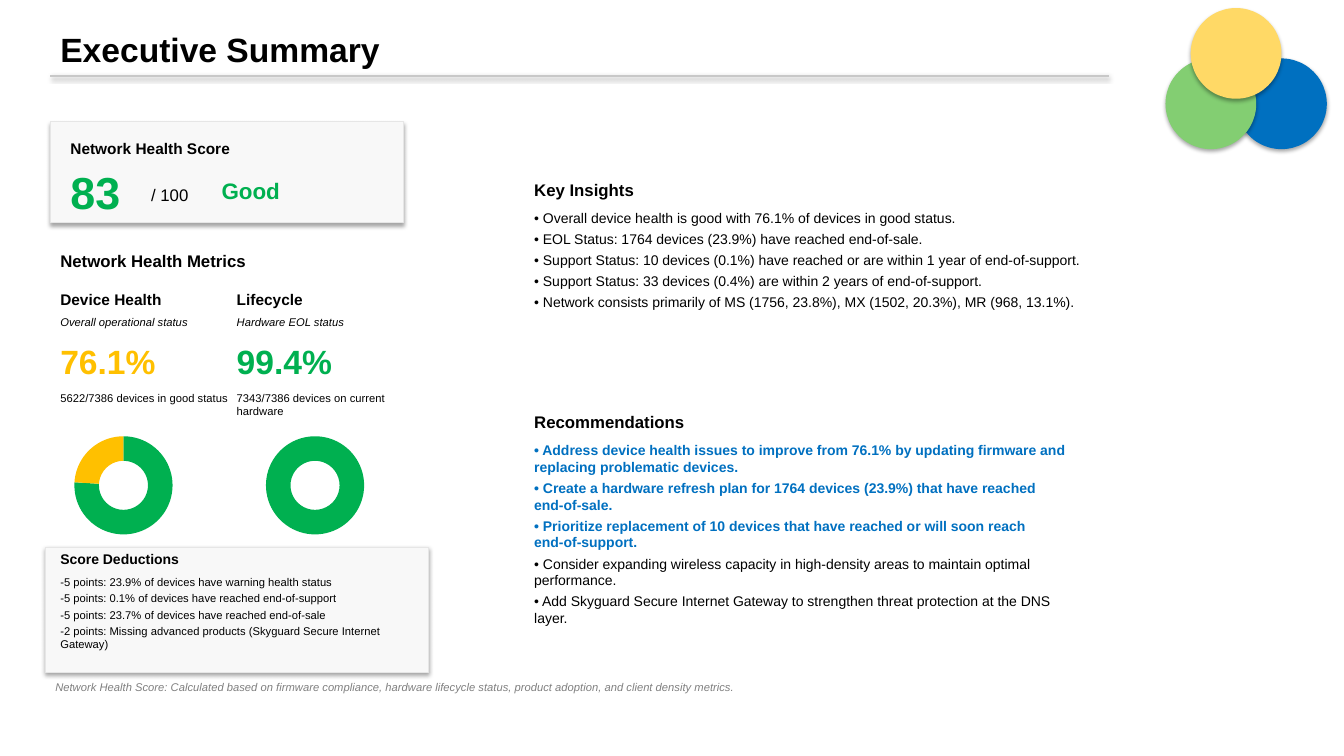
from copy import deepcopy
from lxml import etree
from pptx import Presentation
from pptx import util as u
from pptx.chart.data import CategoryChartData
from pptx.dml.color import RGBColor
from pptx.enum import chart as charts, shapes
from pptx.oxml.ns import qn

COLORS = {
    "black": "000000", "blue": "0070C0", "green": "00B050", "amber": "FFC000",
    "red": "FF0000", "gray": "808080", "panel": "F8F8F8", "border": "E6E6E6",
    "rule": "C8C8C8", "leaf": "83CE72", "sun": "FFD966",
}


def color(name):
    return RGBColor.from_string(COLORS[name])


def add_shadow(shape, distance=1.8, opacity=35):
    effects = etree.SubElement(shape._element.spPr, qn("a:effectLst"))
    shadow = etree.SubElement(
        effects, qn("a:outerShdw"), blurRad=str(u.Pt(3.1)), dist=str(u.Pt(distance)),
        dir="5400000", rotWithShape="0")
    shade = etree.SubElement(shadow, qn("a:srgbClr"), val=COLORS["black"])
    etree.SubElement(shade, qn("a:alpha"), val=str(opacity * 1000))


presentation = Presentation()
presentation.slide_width = u.Inches(13.33)
presentation.slide_height = u.Inches(7.5)
slide = presentation.slides.add_slide(presentation.slide_layouts[6])

OVAL, RECTANGLE = shapes.MSO_SHAPE.OVAL, shapes.MSO_SHAPE.RECTANGLE
for kind, left, top, width, height, fill, border in [
    (OVAL, 12.26, 0.58, 0.9, 0.9, "blue", None),
    (OVAL, 11.56, 0.58, 0.9, 0.9, "leaf", None),
    (OVAL, 11.81, 0.08, 0.9, 0.9, "sun", None),
    (RECTANGLE, 0.5, 1.21, 3.5, 1, "panel", "border"),
    (RECTANGLE, 0.45, 5.43, 3.8, 1.24, "panel", "border"),
]:
    shape = slide.shapes.add_shape(
        kind, u.Inches(left), u.Inches(top), u.Inches(width), u.Inches(height))
    shape.fill.solid()
    shape.fill.fore_color.rgb = color(fill)
    if border:
        shape.line.color.rgb = color(border)
        shape.line.width = u.Pt(0.75)
    else:
        shape.line.fill.background()
    add_shadow(shape)

title_rule = slide.shapes.add_connector(
    shapes.MSO_CONNECTOR.STRAIGHT, u.Inches(0.5), u.Inches(0.75), u.Inches(11), u.Inches(0.75))
title_rule.line.color.rgb = color("rule")
title_rule.line.width = u.Pt(1.5)
add_shadow(title_rule, distance=1.6, opacity=38)

BOLD, ITALIC = {"bold": True}, {"italic": True}
deductions = [
    "-5 points: 23.9% of devices have warning health status",
    "-5 points: 0.1% of devices have reached end-of-support",
    "-5 points: 23.7% of devices have reached end-of-sale",
    "-2 points: Missing advanced products (Skyguard Secure Internet Gateway)",
]
insights = [
    "• Overall device health is good with 76.1% of devices in good status.",
    "• EOL Status: 1764 devices (23.9%) have reached end-of-sale.",
    "• Support Status: 10 devices (0.1%) have reached or are within 1 year of end-of-support.",
    "• Support Status: 33 devices (0.4%) are within 2 years of end-of-support.",
    "• Network consists primarily of MS (1756, 23.8%), MX (1502, 20.3%), MR (968, 13.1%).",
]
urgent = [
    "• Address device health issues to improve from 76.1% by updating firmware and\n"
    "replacing problematic devices.",
    "• Create a hardware refresh plan for 1764 devices (23.9%) that have reached\nend-of-sale.",
    "• Prioritize replacement of 10 devices that have reached or will soon reach\nend-of-support.",
]
optional = [
    "• Consider expanding wireless capacity in high-density areas to maintain optimal\n"
    "performance.",
    "• Add Skyguard Secure Internet Gateway to strengthen threat protection at the DNS\nlayer.",
]
footnote = ("Network Health Score: Calculated based on firmware compliance, hardware lifecycle "
            "status, product adoption, and client density metrics.")

texts = [
    (0.5, 0.24, 10.5, 0.48, ["Executive Summary"], 24, "black", BOLD, 0),
    (0.6, 1.33, 3.3, 0.27, ["Network Health Score"], 11, "black", BOLD, 0),
    (0.6, 1.58, 1, 0.61, ["83"], 32, "green", BOLD, 0),
    (1.4, 1.78, 0.65, 0.29, ["/ 100"], 12, "black", {}, 0),
    (2.1, 1.71, 1.8, 0.36, ["Good"], 16, "green", BOLD, 0),
    (0.5, 5.41, 3.7, 0.26, ["Score Deductions"], 10, "black", BOLD, 0),
    (0.5, 5.66, 3.6, 0.95, deductions, 8, "black", {}, 2),
    (0.5, 2.44, 3.5, 0.29, ["Network Health Metrics"], 12, "black", BOLD, 0),
    (5.2, 1.73, 6.3, 0.29, ["Key Insights"], 12, "black", BOLD, 0),
    (5.2, 2.03, 6.3, 1.15, insights, 10, "black", {}, 3),
    (5.2, 4.04, 6.3, 0.29, ["Recommendations"], 12, "black", BOLD, 0),
    (5.2, 4.33, 6.3, 1.95, urgent + optional, 10, "black", {}, 3),
    (0.45, 6.7, 10, 0.23, [footnote], 8, "gray", ITALIC, 0),
]
for left, name, status, score, score_color, detail in [
    (0.5, "Device Health", "Overall operational status", "76.1%", "amber",
     "5622/7386 devices in good status"),
    (2.25, "Lifecycle", "Hardware EOL status", "99.4%", "green",
     "7343/7386 devices on current hardware"),
]:
    texts += [
        (left, 2.83, 1.5, 0.27, [name], 11, "black", BOLD, 0),
        (left, 3.08, 1.7, 0.23, [status], 8, "black", ITALIC, 0),
        (left, 3.33, 1.5, 0.48, [score], 24, score_color, BOLD, 0),
        (left, 3.83, 2, 0.36, [detail], 8, "black", {}, 0),
    ]

for left, top, width, height, lines, size, text_color, style, gap in texts:
    box = slide.shapes.add_textbox(
        u.Inches(left), u.Inches(top), u.Inches(width), u.Inches(height))
    frame = box.text_frame
    frame.word_wrap = True
    for index, line in enumerate(lines):
        paragraph = frame.paragraphs[0] if index == 0 else frame.add_paragraph()
        paragraph.text = line
        paragraph.space_after = u.Pt(gap)
        is_urgent = line in urgent
        font_values = {"name": "Arial", "size": u.Pt(size), **(BOLD if is_urgent else style)}
        for run in paragraph.runs:
            for attribute, value in font_values.items():
                setattr(run.font, attribute, value)
            run.font.color.rgb = color("blue" if is_urgent else text_color)
        for line_break in paragraph._p.findall(qn("a:br")):
            line_break.append(deepcopy(paragraph.runs[0].font._element))

for left, shares in [(0.6, [76, 24]), (2.5, [99, 0, 0])]:
    data = CategoryChartData()
    data.categories = [str(number + 1) for number in range(len(shares))]
    data.add_series("Series 1", shares)
    chart = slide.shapes.add_chart(
        charts.XL_CHART_TYPE.DOUGHNUT, u.Inches(left), u.Inches(4.19),
        u.Inches(1.25), u.Inches(1.25), data).chart
    chart.has_legend = False
    chart.has_title = False
    chart.font.name = "Arial"
    chart.font.size = u.Pt(18)
    chart.font.color.rgb = color("black")
    plot = chart.plots[0]
    plot.vary_by_categories = True
    for index, slice_color in enumerate(["green", "amber", "red"][:len(shares)]):
        fill = plot.series[0].points[index].format.fill
        fill.solid()
        fill.fore_color.rgb = color(slice_color)

presentation.save("out.pptx")
